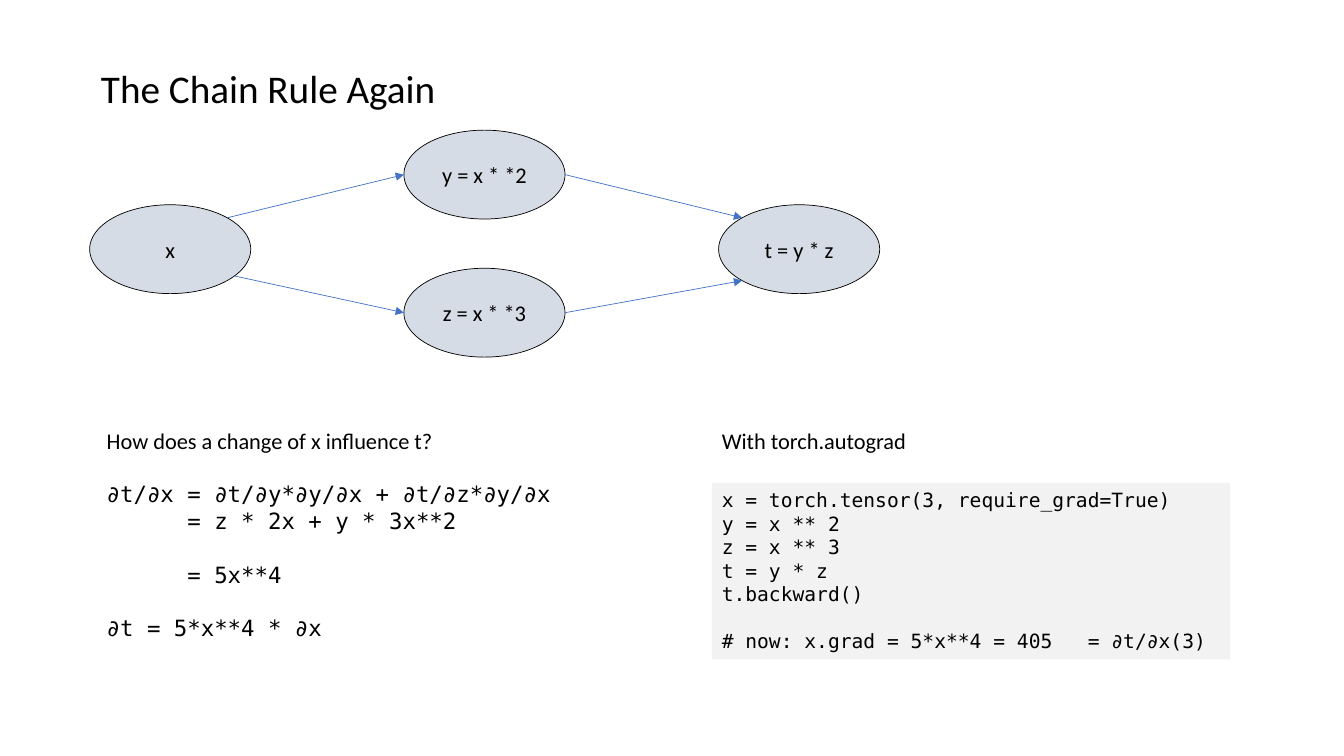
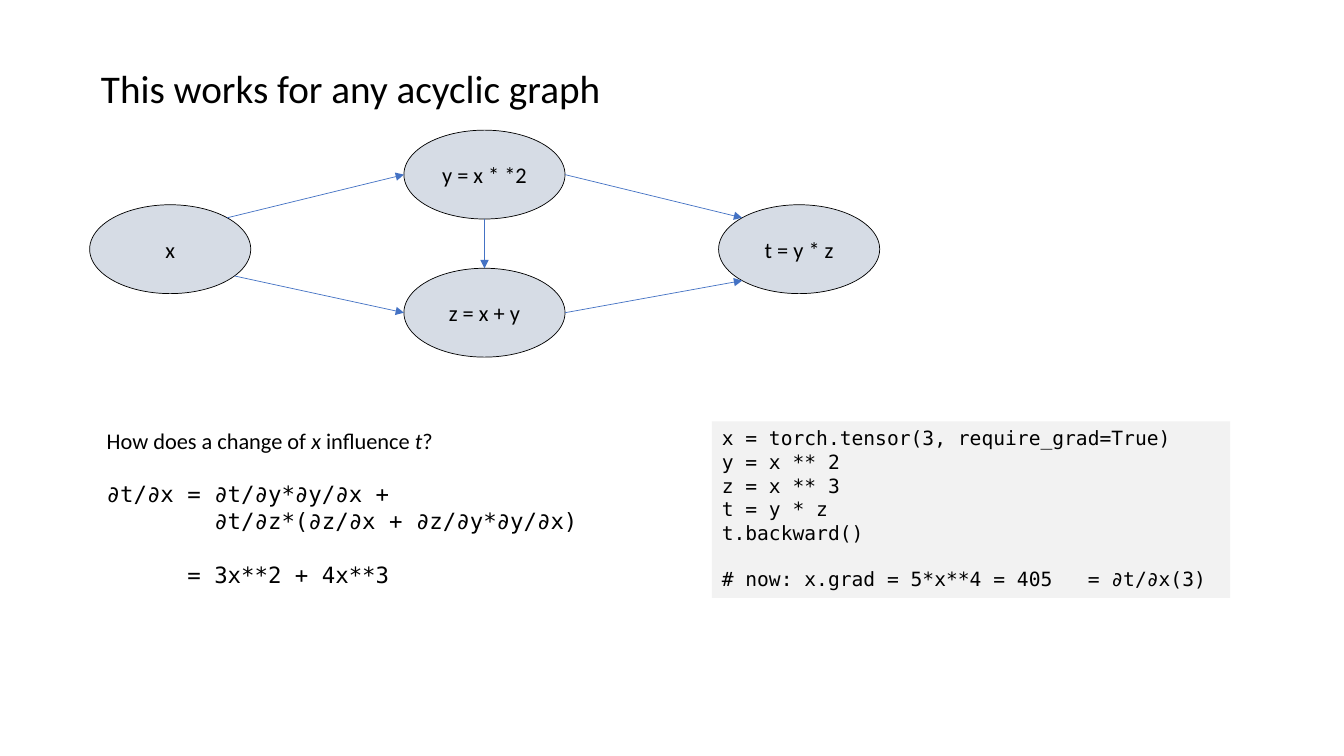
"""Build two slides on the chain rule and automatic differentiation."""
import math

from lxml import etree
from pptx import Presentation
from pptx.dml.color import RGBColor
from pptx.enum import shapes, text
from pptx.oxml import ns
from pptx.util import Cm, Pt

COLORS = {"text": "000000", "node": "D6DCE5", "code": "F2F2F2", "arrow": "4472C4"}
SANS, MONO = "Calibri", "DejaVu Sans Mono"
NODE_W, NODE_H = 4.06, 2.24
NODES = {"x": (2.26, 5.16), "y": (10.18, 3.28), "z": (10.18, 6.76), "t": (18.11, 5.16)}
EDGES = [("x", 315, "y", 180), ("x", 37, "z", 180), ("y", 0, "t", 225), ("z", 0, "t", 135)]
CODE = [
    (MONO, ["x = torch.tensor(3, require_grad=True)", "y = x ** 2", "z = x ** 3",
            "t = y * z", "t.backward()"]),
    (MONO, ["# now: x.grad = 5*x**4 = 405   = ∂t/∂x(3)"]),
]


def rgb(name):
    """Return a palette colour."""
    return RGBColor.from_string(COLORS[name])


def rim(node, degrees):
    """Return the point of a node's outline at an angle, clockwise from the right."""
    left, top = NODES[node]
    a = math.radians(degrees)
    return (Cm(left + NODE_W / 2 * (1 + math.cos(a))),
            Cm(top + NODE_H / 2 * (1 + math.sin(a))))


class Deck:
    """Hold the presentation style and the current slide."""

    def __init__(self):
        """Open a widescreen presentation."""
        self.prs = Presentation()
        self.prs.slide_width, self.prs.slide_height = Cm(33.87), Cm(19.05)
        self.s = None

    def put_text(self, tf, groups, size=16, align=text.PP_ALIGN.LEFT):
        """Set groups of lines a line apart; bars enclose italics."""
        tf.word_wrap = False
        p = tf.paragraphs[0]
        for g, (font, lines) in enumerate(groups):
            for i, line in enumerate(lines):
                if g or i:
                    p = tf.add_paragraph()
                p.alignment = align
                p.space_before = Pt(size * 1.18 if g and not i else 0)
                for n, part in enumerate(line.split("|")):
                    r = p.add_run()
                    r.text = part
                    r.font.name, r.font.size = font, Pt(size)
                    r.font.color.rgb = rgb("text")
                    if n % 2:
                        r.font.italic = True

    def slide(self, title):
        """Start a slide with its title."""
        self.s = self.prs.slides.add_slide(self.prs.slide_layouts[5])
        sp = self.s.shapes.title
        sp.left, sp.top, sp.width, sp.height = Cm(2.29), Cm(1.5), Cm(28), Cm(1.45)
        tf = sp.text_frame
        tf.auto_size = text.MSO_AUTO_SIZE.NONE
        tf.vertical_anchor = text.MSO_ANCHOR.TOP
        self.put_text(tf, [(SANS, [title])], 28)

    def shape(self, kind, fill, left, top, width, height):
        """Add a flat filled shape."""
        sp = self.s.shapes.add_shape(kind, Cm(left), Cm(top), Cm(width), Cm(height))
        sp.shadow.inherit = False
        sp.fill.solid()
        sp.fill.fore_color.rgb = rgb(fill)
        return sp

    def node(self, name, label):
        """Add a labelled graph node."""
        sp = self.shape(shapes.MSO_SHAPE.OVAL, "node", *NODES[name], NODE_W, NODE_H)
        sp.line.color.rgb = rgb("text")
        sp.line.width = Pt(0.5)
        self.put_text(sp.text_frame, [(SANS, [label])], align=text.PP_ALIGN.CENTER)

    def arrow(self, start, start_angle, end, end_angle):
        """Add an arrow between the outlines of two nodes."""
        c = self.s.shapes.add_connector(shapes.MSO_CONNECTOR.STRAIGHT,
                                        *rim(start, start_angle), *rim(end, end_angle))
        c.line.color.rgb = rgb("arrow")
        c.line.width = Pt(0.5)
        props = c.element.spPr
        etree.SubElement(props.find(ns.qn("a:ln")), ns.qn("a:tailEnd"), type="triangle")
        etree.SubElement(props, ns.qn("a:effectLst"))

    def graph(self, labels, edges):
        """Draw the computation graph."""
        for name, label in labels.items():
            self.node(name, label)
        for edge in edges:
            self.arrow(*edge)

    def note(self, left, width, height, groups):
        """Add a text box in the lower half."""
        sp = self.s.shapes.add_textbox(Cm(left), Cm(10.64), Cm(width), Cm(height))
        self.put_text(sp.text_frame, groups)

    def code(self, top):
        """Add the code panel."""
        sp = self.shape(shapes.MSO_SHAPE.RECTANGLE, "code", 17.94, top, 13.06, 4.45)
        sp.line.fill.background()
        sp.text_frame.vertical_anchor = text.MSO_ANCHOR.TOP
        self.put_text(sp.text_frame, CODE, 14)


def main():
    """Build and save the slides."""
    deck = Deck()
    labels = {"x": "x", "y": "y = x * *2", "z": "z = x * *3", "t": "t = y * z"}

    deck.slide("The Chain Rule Again")
    deck.graph(labels, EDGES)
    deck.note(2.44, 12.52, 5.74, [
        (SANS, ["How does a change of x influence t?"]),
        (MONO, ["∂t/∂x = ∂t/∂y*∂y/∂x + ∂t/∂z*∂y/∂x", "      = z * 2x + y * 3x**2"]),
        (MONO, ["      = 5x**4"]),
        (MONO, ["∂t = 5*x**4 * ∂x"]),
    ])
    deck.note(17.94, 5.2, 0.94, [(SANS, ["With torch.autograd"])])
    deck.code(12.17)

    deck.slide("This works for any acyclic graph")
    deck.graph({**labels, "z": "z = x + y"}, EDGES + [("y", 90, "z", 270)])
    deck.note(2.44, 12.52, 5.05, [
        (SANS, ["How does a change of |x| influence |t|?"]),
        (MONO, ["∂t/∂x = ∂t/∂y*∂y/∂x +", "        ∂t/∂z*(∂z/∂x + ∂z/∂y*∂y/∂x)"]),
        (MONO, ["      = 3x**2 + 4x**3"]),
    ])
    deck.code(10.62)

    deck.prs.save("out.pptx")


if __name__ == "__main__":
    main()
